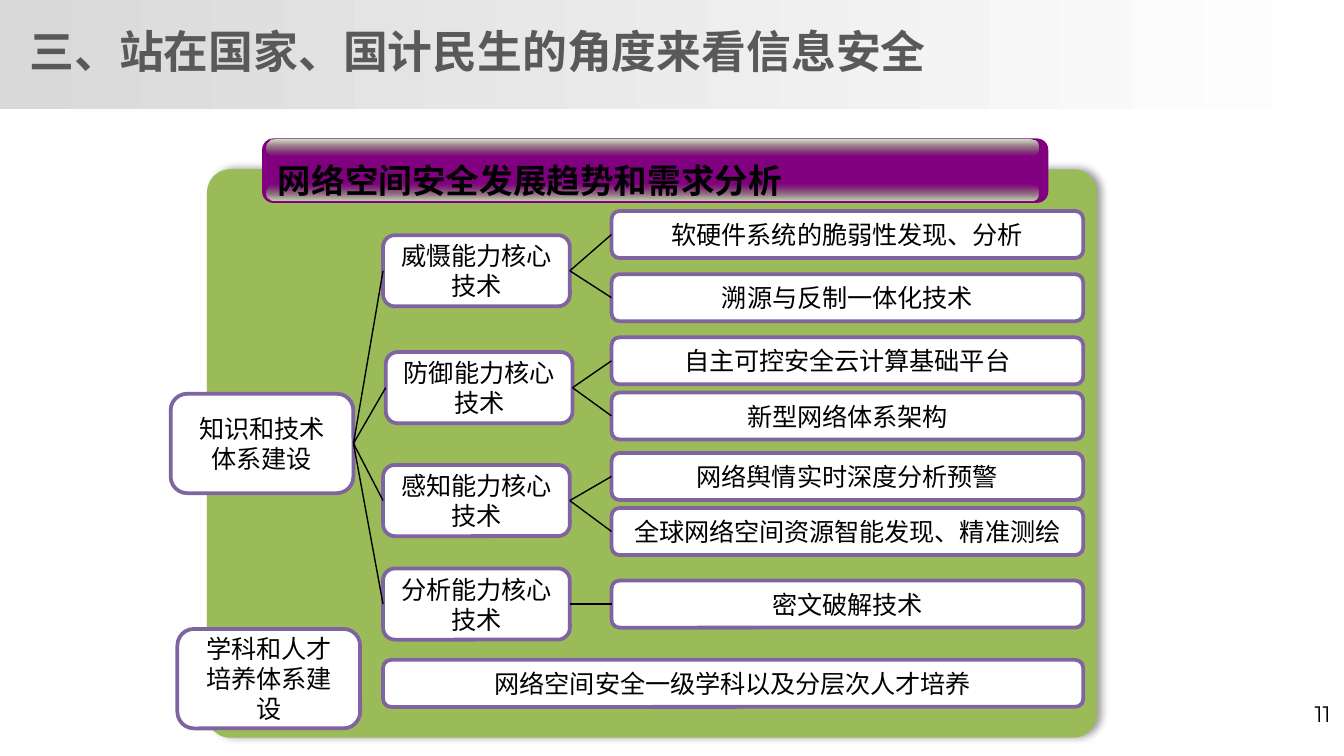
from dataclasses import dataclass

from lxml import etree
from pptx import Presentation
from pptx.dml.color import RGBColor
from pptx.enum import shapes, text
from pptx.oxml import ns
from pptx.util import Inches, Pt


@dataclass(frozen=True)
class Theme:
    font: str = "Noto Sans CJK SC"
    number_font: str = "Montserrat"
    ink: str = "000000"
    title: str = "595959"
    paper: str = "FFFFFF"
    band: str = "D9D9D9"
    panel: str = "9BBB59"
    banner: str = "800080"
    gloss: str = "79B14F"
    gloss_low: str = "C8DFB7"
    gloss_high: str = "D2E5C4"
    border: str = "8064A2"
    title_size: float = 24
    banner_size: float = 18
    body_size: float = 13.5
    number_size: float = 12


T = Theme()
ROUND = shapes.MSO_SHAPE.ROUNDED_RECTANGLE
LEFT, RIGHT = 1, 3

BRANCHES = [
    (1.58, 0.49, "威慑能力核心技术",
     [(0.31, "软硬件系统的脆弱性发现、分析"), (0.78, "溯源与反制一体化技术")]),
    (1.6, 1.36, "防御能力核心技术",
     [(1.25, "自主可控安全云计算基础平台"), (1.66, "新型网络体系架构")]),
    (1.58, 2.2, "感知能力核心技术",
     [(2.11, "网络舆情实时深度分析预警"), (2.52, "全球网络空间资源智能发现、精准测绘")]),
    (1.58, 2.97, "分析能力核心技术", [(3.06, "密文破解技术")]),
]


def rgb(value):
    return RGBColor.from_string(value)


def add_child(parent, tag, **attrs):
    return etree.SubElement(parent, ns.qn(tag), attrs)


def write(sp, words, size, color, font=T.font, bold=False,
          align=text.PP_ALIGN.LEFT, anchor=text.MSO_ANCHOR.TOP):
    tf = sp.text_frame
    tf.text = words
    tf.word_wrap = True
    tf.auto_size = text.MSO_AUTO_SIZE.NONE
    tf.vertical_anchor = anchor
    p = tf.paragraphs[0]
    p.alignment = align
    r = p.runs[0]
    r.font.size = Pt(size)
    r.font.bold = bold
    r.font.color.rgb = rgb(color)
    r.font.name = font
    add_child(r.font._element, "a:ea", typeface=font)
    return p


def add_box(s, kind, x, y, w, h, fill=None, radius=None):
    sp = s.shapes.add_shape(kind, Inches(x), Inches(y), Inches(w), Inches(h))
    sp.shadow.inherit = False
    sp.line.fill.background()
    if fill:
        sp.fill.solid()
        sp.fill.fore_color.rgb = rgb(fill)
    if radius:
        sp.adjustments[0] = radius
    return sp


def add_gradient(sp, colors, angle, clear=None):
    sp.fill.gradient()
    sp.fill.gradient_angle = angle
    for stop, color in zip(sp.fill.gradient_stops, colors):
        stop.color.rgb = rgb(color)
    if clear is not None:
        stops = list(sp.element.spPr.iter(ns.qn("a:srgbClr")))
        add_child(stops[clear], "a:alpha", val="0")


def add_card(s, x, y, w, h, words):
    sp = add_box(s, ROUND, x, y, w, h, T.paper)
    sp.line.color.rgb = rgb(T.border)
    sp.line.width = Pt(2)
    write(sp, words, T.body_size, T.ink, align=text.PP_ALIGN.CENTER,
          anchor=text.MSO_ANCHOR.MIDDLE)
    return sp


def join(s, start, end):
    line = s.shapes.add_connector(shapes.MSO_CONNECTOR.STRAIGHT, 0, 0, 0, 0)
    line.begin_connect(start, RIGHT)
    line.end_connect(end, LEFT)
    line.line.color.rgb = rgb(T.ink)
    line.line.width = Pt(0.75)
    add_child(line.element.spPr, "a:effectLst")


def add_header(s, x, y, w, h):
    band = add_box(s, shapes.MSO_SHAPE.RECTANGLE, x, y, w, h)
    add_gradient(band, (T.band, T.paper), 0)
    title = s.shapes.title
    title.left, title.top = Inches(x + 0.12), Inches(y + 0.13)
    title.width, title.height = Inches(8.27), Inches(0.5)
    write(title, "三、站在国家、国计民生的角度来看信息安全",
          T.title_size, T.title, bold=True)
    title.element.addprevious(band.element)


def add_panel(s, x, y, w, h):
    panel = add_box(s, ROUND, x, y, w, h, T.panel, 0.041)
    effects = panel.element.spPr.find(ns.qn("a:effectLst"))
    shadow = add_child(effects, "a:outerShdw", blurRad=str(Pt(4)),
                       dist=str(Pt(3)), dir="0", algn="l", rotWithShape="0")
    color = add_child(shadow, "a:srgbClr", val=T.ink)
    add_child(color, "a:alpha", val="40000")


def add_banner(s, x, y, w, h):
    add_box(s, ROUND, x, y, w, h, T.banner, 0.175)
    for dy, colors, clear in ((0.34, (T.gloss, T.gloss_low), 0),
                              (0.01, (T.gloss_high, T.gloss), 1)):
        gloss = add_box(s, ROUND, x + 0.03, y + dy, w - 0.1, 0.12, radius=0.5)
        add_gradient(gloss, colors, 270, clear)
    label = s.shapes.add_textbox(Inches(x + 0.02), Inches(y - 0.01),
                                 Inches(5.36), Inches(h))
    p = write(label, "网络空间安全发展趋势和需求分析",
              T.banner_size, T.ink, bold=True)
    p.line_spacing = 1.4


def add_tree(s, x, y, w, h):
    root = add_card(s, x, y + 1.67, 1.36, 0.74, "知识和技术体系建设")
    for dx, dy, words, leaves in BRANCHES:
        branch = add_card(s, x + dx, y + dy, 1.39, 0.53, words)
        join(s, root, branch)
        for leaf_dy, leaf_words in leaves:
            leaf = add_card(s, x + w - 3.51, y + leaf_dy, 3.51, 0.35, leaf_words)
            join(s, branch, leaf)
    add_card(s, x + 0.05, y + h - 0.74, 1.36, 0.74, "学科和人才培养体系建设")
    add_card(s, x + w - 5.21, y + h - 0.51, 5.21, 0.35,
             "网络空间安全一级学科以及分层次人才培养")


def add_page_number(s, x, y, w, h):
    sp = s.shapes.add_textbox(Inches(x), Inches(y), Inches(w), Inches(h))
    write(sp, "11", T.number_size, T.ink, T.number_font,
          align=text.PP_ALIGN.RIGHT, anchor=text.MSO_ANCHOR.MIDDLE)


def main():
    prs = Presentation()
    prs.slide_width = Inches(10)
    prs.slide_height = prs.slide_width * 9 // 16
    s = prs.slides.add_slide(prs.slide_layouts[5])
    add_header(s, 0, 0, 10, 0.81)
    add_page_number(s, 7.67, 5.12, 2.33, 0.38)
    add_panel(s, 1.54, 1.26, 6.62, 4.23)
    add_banner(s, 1.95, 1.03, 5.85, 0.48)
    add_tree(s, 1.27, 1.26, 6.79, 4.16)
    prs.save("out.pptx")


if __name__ == "__main__":
    main()
